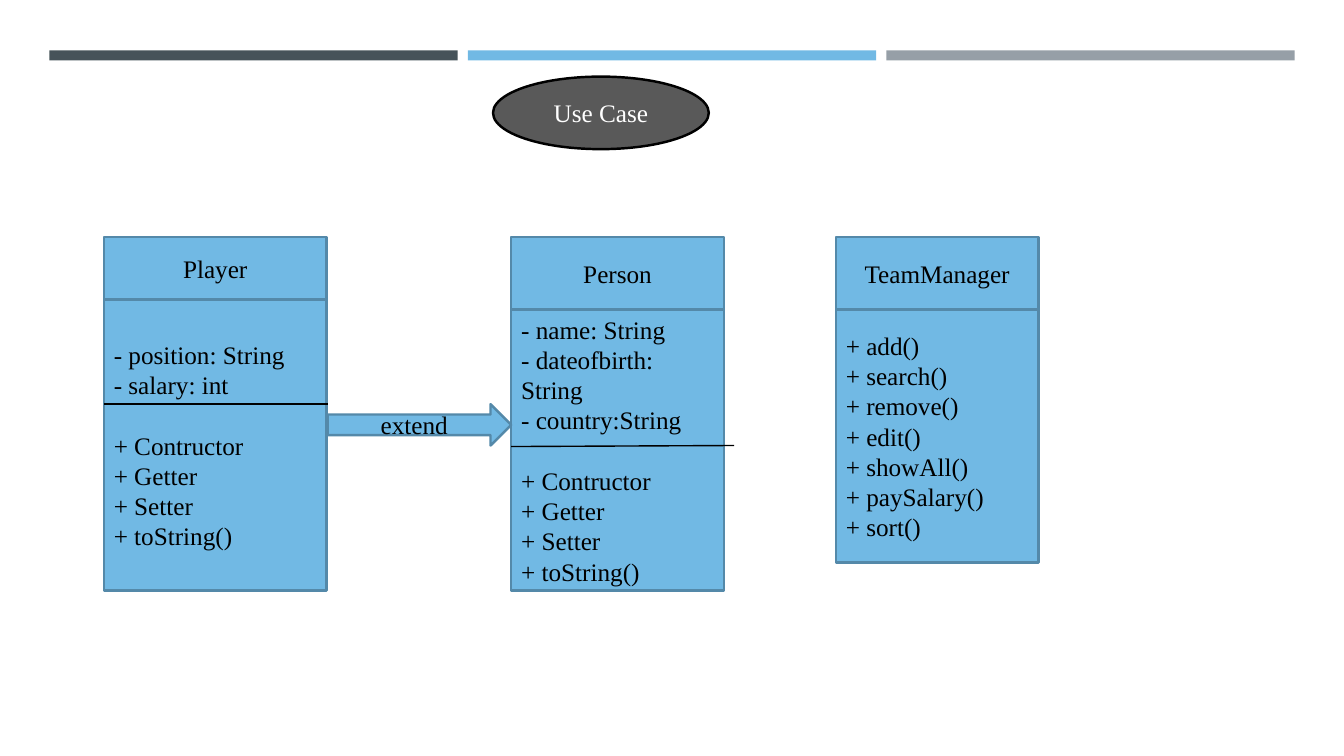
from pptx import Presentation
from pptx import util as u
from pptx.dml.color import RGBColor
from pptx.enum import shapes, text
from pptx.oxml.ns import qn
from lxml import etree

BLUE, EDGE, BLACK = "71B9E4", "5489A9", "000000"
LINE_HEIGHT = u.Pt(21.6)


def color(value):
    return RGBColor.from_string(value)


def add_box(kind, left, top, width, height, fill, edge=None, label="", ink=BLACK):
    box = slide.shapes.add_shape(
        kind, u.Inches(left), u.Inches(top), u.Inches(width), u.Inches(height))
    box.shadow.inherit = False
    box.fill.solid()
    box.fill.fore_color.rgb = color(fill)
    if edge:
        box.line.color.rgb = color(edge)
        box.line.width = u.Pt(1.75)
    else:
        box.line.fill.background()
    frame = box.text_frame
    frame.word_wrap = True
    frame.vertical_anchor = text.MSO_ANCHOR.MIDDLE
    frame.text = label
    for para in frame.paragraphs:
        para.alignment = text.PP_ALIGN.CENTER
        for span in para.runs:
            span.font.name = "Times New Roman"
            span.font.size = u.Pt(18)
            span.font.color.rgb = color(ink)
    return box


deck = Presentation()
deck.slide_width, deck.slide_height = u.Inches(13.33), u.Inches(7.5)
slide = deck.slides.add_slide(deck.slide_layouts[6])
rectangle = shapes.MSO_SHAPE.RECTANGLE

for index, fill in enumerate(["465359", BLUE, "969FA7"]):
    add_box(rectangle, 0.49 + 4.15 * index, 0.5, 4.05, 0.1, fill)

common_methods = ["+ Contructor", "+ Getter", "+ Setter", "+ toString()"]
classes = [
    ("Person", 5.07, 2.11, 0.72, 2.79,
     ["- name: String", "- dateofbirth: String", "- country:String"], common_methods),
    ("Player", 1.03, 2.21, 0.62, 2.89,
     ["- position: String", "- salary: int"], common_methods),
    ("TeamManager", 8.29, 2.01, 0.72, 2.51, [],
     ["+ add()", "+ search()", "+ remove()", "+ edit()", "+ showAll()",
      "+ paySalary()", "+ sort()"]),
]
class_top = 2.35
for name, left, width, header, body, fields, methods in classes:
    add_box(rectangle, left, class_top, width, header, BLUE, EDGE, name)
    members = add_box(rectangle, left, class_top + header, width, body, BLUE, EDGE,
                      "\n".join(fields + methods))
    for index, para in enumerate(members.text_frame.paragraphs):
        para.alignment = text.PP_ALIGN.LEFT
        para.line_spacing = LINE_HEIGHT
        if fields and index == len(fields):
            para.space_before = LINE_HEIGHT

for x1, y1, x2, y2 in [(5.07, 4.43, 7.28, 4.42), (1.03, 4.01, 3.25, 4.01)]:
    divider = slide.shapes.add_connector(
        shapes.MSO_CONNECTOR.STRAIGHT,
        u.Inches(x1), u.Inches(y1), u.Inches(x2), u.Inches(y2))
    divider.line.color.rgb = color(BLACK)
    divider.line.width = u.Pt(1)
    etree.SubElement(divider._element.spPr, qn("a:effectLst"))

add_box(shapes.MSO_SHAPE.RIGHT_ARROW, 3.25, 4.01, 1.82, 0.41, BLUE, EDGE, "extend")
add_box(shapes.MSO_SHAPE.OVAL, 4.89, 0.76, 2.14, 0.72, "595959", BLACK, "Use Case", "FFFFFF")

deck.save("out.pptx")
